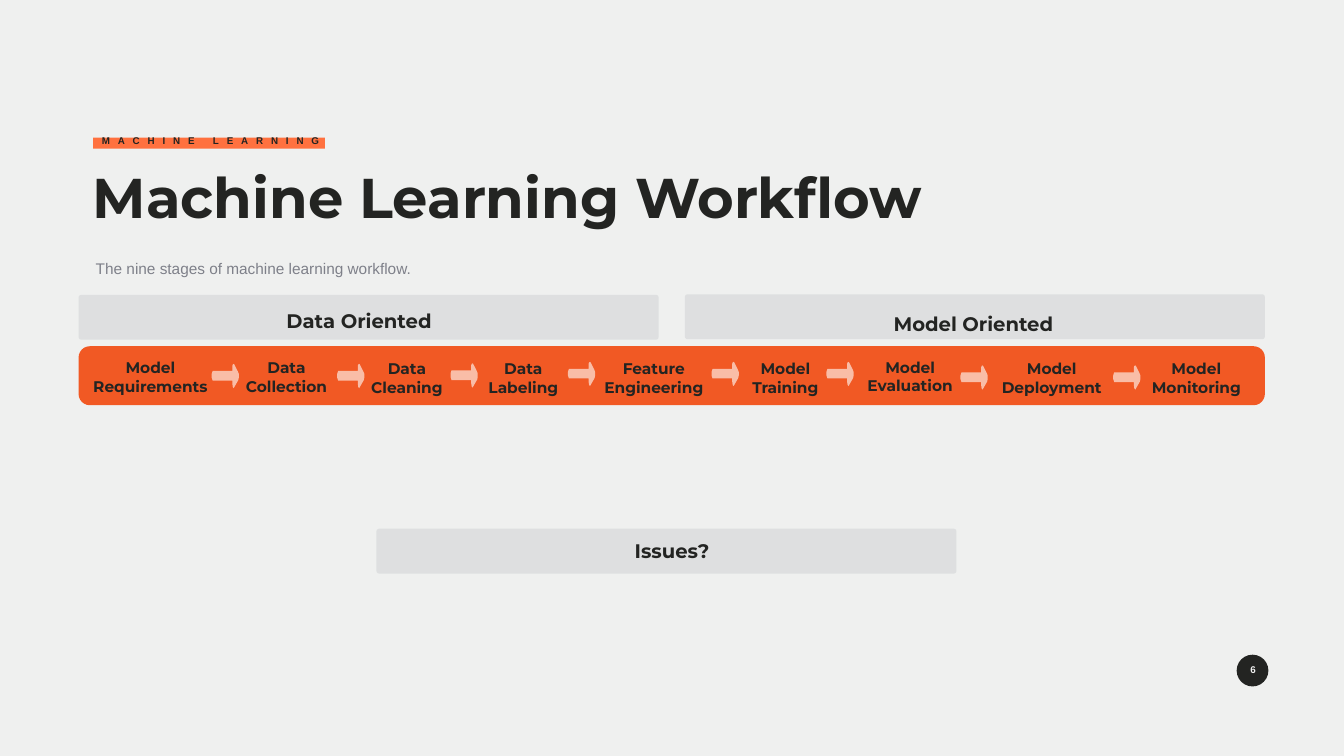
from lxml import etree
from pptx import Presentation
from pptx import util as u
from pptx.dml.color import RGBColor
from pptx.enum import shapes, text
from pptx.oxml import ns

SCALE = 9144
INSET = 6
COLORS = {
    "page": "EFF0EF",
    "ink": "232422",
    "muted": "7E8089",
    "panel": "B3B6BA",
    "accent": "FF713F",
    "band": "F15924",
    "arrow": "F9BDA7",
    "number": "F0F0F0",
}
PANEL_SIZE = (1151, 89)
ARROW_OUTLINE = [
    (44, 0), (42, 1), (41, 4), (41, 14), (4, 14), (2, 14), (0, 20),
    (0, 27), (2, 33), (4, 33), (41, 33), (41, 39), (42, 46), (44, 48),
    (45, 46), (53, 32), (54, 27), (54, 20), (52, 15), (45, 1),
]
STAGES = [
    ("Model Requirements", 172, 705, 253),
    ("Data Collection", 474, 705, 189),
    ("Data\nCleaning", 713, 707, 189),
    ("Data\nLabeling", 945, 707, 187),
    ("Feature\nEngineering", 1171, 707, 253),
    ("Model\nTraining", 1461, 707, 195),
    ("Model\nEvaluation", 1695, 704, 222),
    ("Model\nDeployment", 1976, 707, 222),
    ("Model\nMonitoring", 2263, 707, 222),
]
ARROWS = [
    (420, 722), (669, 722), (894, 721), (1127, 718),
    (1412, 718), (1640, 718), (1906, 725), (2209, 725),
]


def px(length):
    return u.Emu(length * SCALE)


def color(name):
    return RGBColor.from_string(COLORS[name])


def paint(shape, fill, alpha=None):
    shape.shadow.inherit = False
    shape.fill.solid()
    shape.fill.fore_color.rgb = color(fill)
    shape.line.fill.background()
    if alpha is not None:
        tint = shape.fill._xPr.find(".//" + ns.qn("a:srgbClr"))
        etree.SubElement(tint, ns.qn("a:alpha")).set("val", str(alpha * 1000))


def add_block(slide, kind, box, fill, alpha=None, corner=None):
    block = slide.shapes.add_shape(kind, *map(px, box))
    paint(block, fill, alpha)
    if corner is not None:
        block.adjustments[0] = corner


def write(target, words, size, font="Montserrat", ink="ink", bold=True,
          align=text.PP_ALIGN.CENTER, anchor=text.MSO_ANCHOR.TOP,
          line_spacing=1.0, tracking=None):
    frame = target.text_frame
    frame.word_wrap = True
    frame.auto_size = text.MSO_AUTO_SIZE.SHAPE_TO_FIT_TEXT
    frame.vertical_anchor = anchor
    frame.margin_left = frame.margin_right = px(INSET)
    frame.margin_top = frame.margin_bottom = px(INSET)
    frame.text = words
    for paragraph in frame.paragraphs:
        properties = paragraph._p.get_or_add_pPr()
        properties.set("marL", "0")
        properties.set("indent", "0")
        etree.SubElement(properties, ns.qn("a:buNone"))
        paragraph.alignment = align
        paragraph.line_spacing = line_spacing
        paragraph.space_before = u.Pt(0)
        for run in paragraph.runs:
            run.font.size = u.Pt(size)
            run.font.name = font
            run.font.bold = bold
            run.font.color.rgb = color(ink)
            if tracking:
                run._r.get_or_add_rPr().set("spc", str(tracking))


def add_label(slide, box, words, size, **style):
    write(slide.shapes.add_textbox(*map(px, box)), words, size, **style)


def fill_placeholder(placeholder, box, words, size, **style):
    placeholder.left, placeholder.top, placeholder.width, placeholder.height = map(px, box)
    write(placeholder, words, size, align=text.PP_ALIGN.LEFT, **style)


def add_panel(slide, left, top, words, label_box):
    add_block(slide, shapes.MSO_SHAPE.ROUNDED_RECTANGLE,
              (left, top, *PANEL_SIZE), "panel", alpha=28, corner=0.06)
    add_label(slide, label_box, words, 28)


def add_arrow(slide, left, top):
    points = [(left + x, top + y) for x, y in ARROW_OUTLINE]
    outline = slide.shapes.build_freeform(*points[0], scale=SCALE)
    outline.add_line_segments(points[1:], close=True)
    paint(outline.convert_to_shape(), "arrow")


def add_heading(slide):
    fill_placeholder(slide.shapes.title, (178, 316, 1713, 146),
                     "Machine Learning Workflow", 80)
    fill_placeholder(slide.placeholders[1], (184, 500, 2279, 52),
                     "The nine stages of machine learning workflow.", 22,
                     font="Arial", ink="muted", bold=False, line_spacing=1.2)
    add_block(slide, shapes.MSO_SHAPE.RECTANGLE, (185, 273, 460, 22), "accent")
    add_label(slide, (196, 256, 460, 37), "MACHINE LEARNING", 14, font="Arial",
              align=text.PP_ALIGN.LEFT, line_spacing=1.2, tracking=1120)


def add_workflow(slide):
    add_panel(slide, 156, 585, "Data Oriented", (276, 606, 873, 37))
    add_panel(slide, 1359, 584, "Model Oriented", (1494, 613, 875, 37))
    add_block(slide, shapes.MSO_SHAPE.ROUNDED_RECTANGLE,
              (156, 687, 2354, 117), "band", corner=0.19)
    for words, left, top, width in STAGES:
        add_label(slide, (left, top, width, 85), words, 22)
    for left, top in ARROWS:
        add_arrow(slide, left, top)


def add_page_number(slide):
    add_block(slide, shapes.MSO_SHAPE.OVAL, (2454, 1299, 63, 63), "ink")
    add_label(slide, (2455, 1313, 63, 33), "6", 14, font="Arial", ink="number",
              anchor=text.MSO_ANCHOR.MIDDLE)


def main():
    deck = Presentation()
    deck.slide_width, deck.slide_height = px(2667), px(1500)
    slide = deck.slides.add_slide(deck.slide_layouts[1])
    slide.background.fill.solid()
    slide.background.fill.fore_color.rgb = color("page")
    add_heading(slide)
    add_workflow(slide)
    add_panel(slide, 747, 1049, "Issues?", (897, 1064, 873, 58))
    add_page_number(slide)
    deck.save("out.pptx")


if __name__ == "__main__":
    main()
